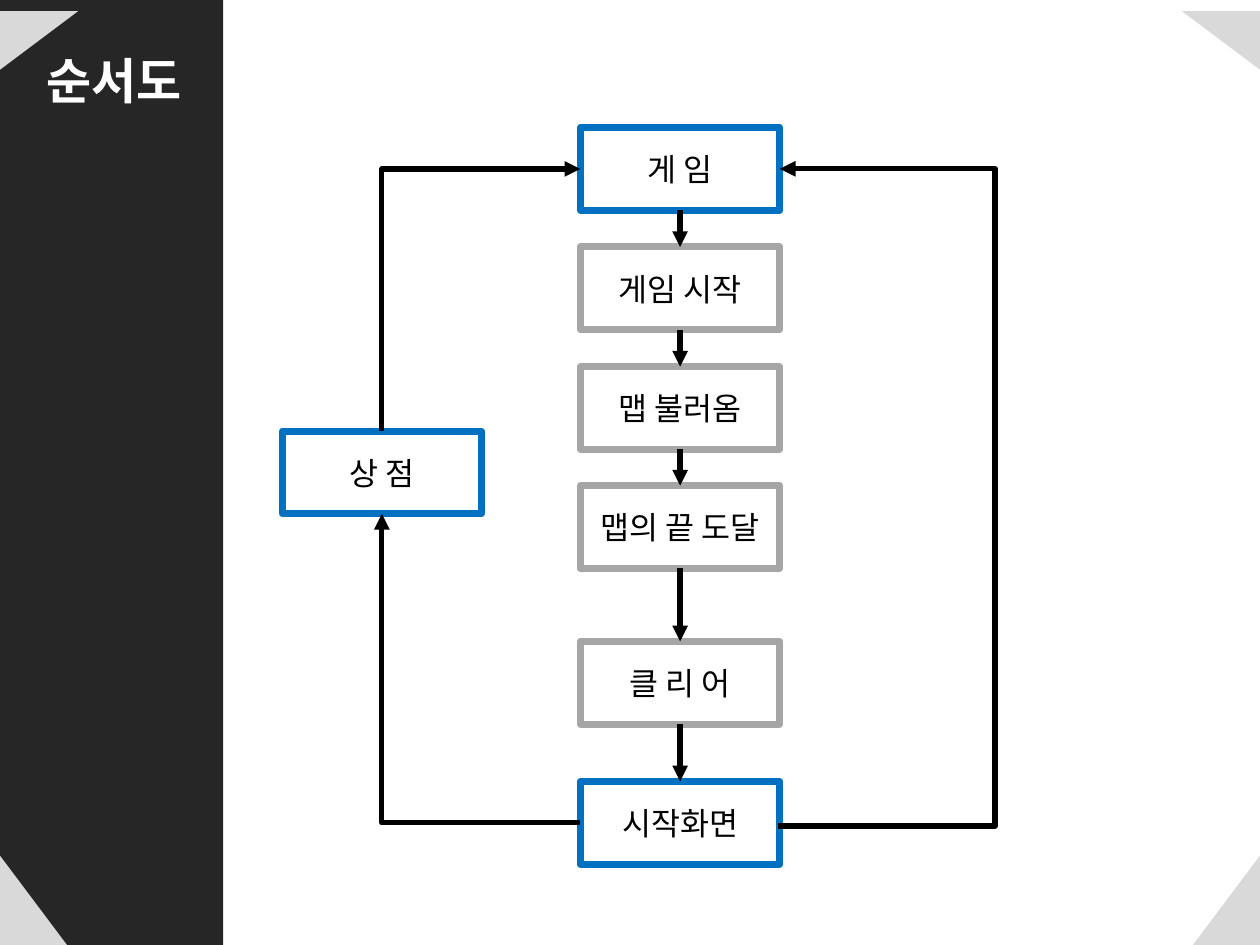
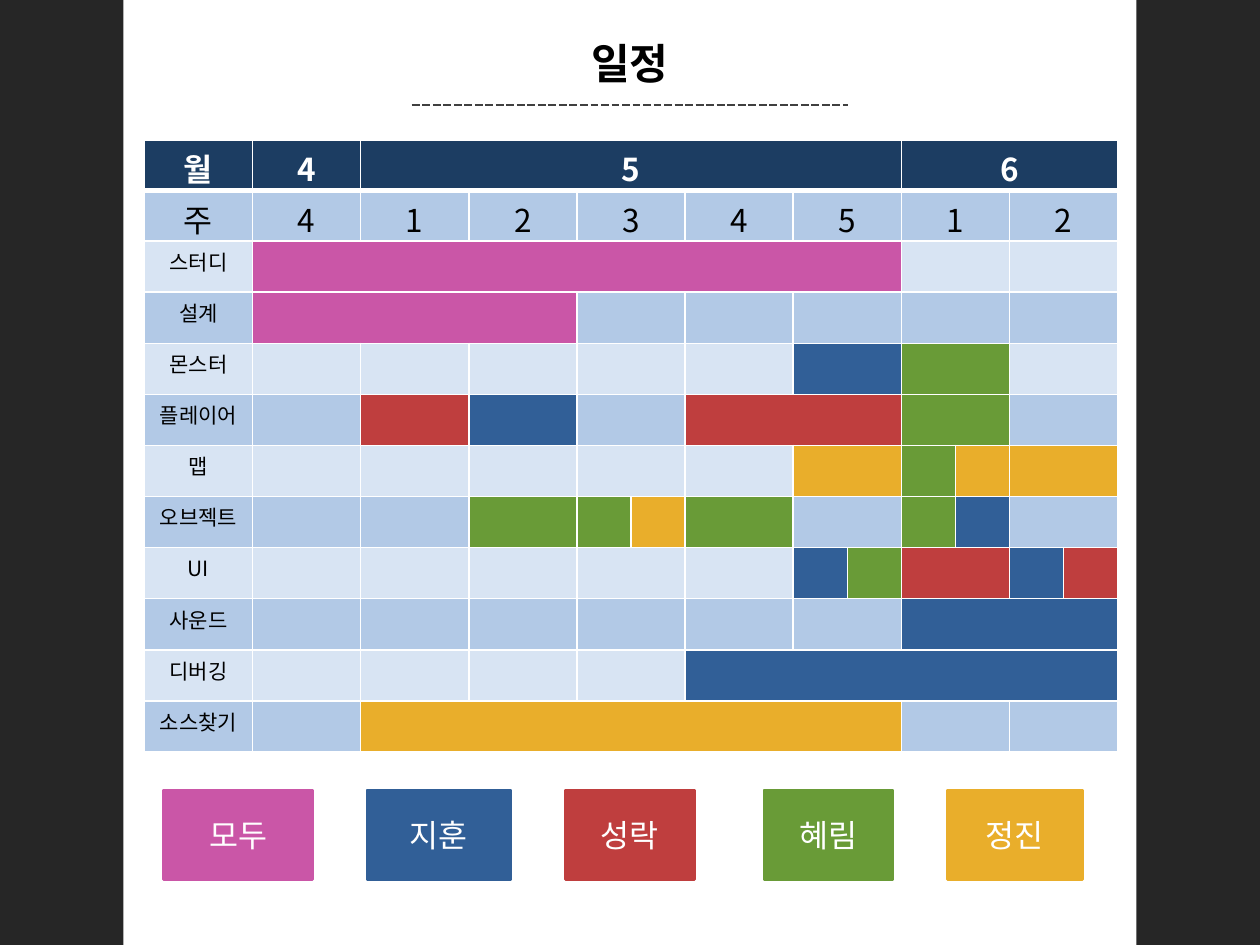
from dataclasses import dataclass

from lxml import etree
from pptx import Presentation
from pptx import util as u
from pptx.dml.color import RGBColor
from pptx.enum import dml, shapes, text
from pptx.oxml.ns import qn


@dataclass(frozen=True)
class Theme:
    font: str = "Noto Sans CJK KR"
    white: str = "FFFFFF"
    black: str = "000000"
    band: str = "262626"
    corner: str = "D9D9D9"
    rule: str = "404040"
    screen: str = "0070C0"
    step: str = "A6A6A6"
    header: str = "1C3D62"
    stripes: tuple = ("D8E4F3", "B2C9E6")
    heading: int = 28
    title: int = 24
    body: int = 18
    label: int = 12


THEME = Theme()
MEMBERS = {"모두": "CA56A7", "지훈": "315F97", "성락": "BF3E3E",
           "혜림": "699B37", "정진": "E9AE2B"}
WIDTH, HEIGHT = 25.4, 19.05


def write(frame, words, size=THEME.body, color=THEME.black, bold=False,
          align=text.PP_ALIGN.CENTER, anchor=text.MSO_ANCHOR.MIDDLE, wrap=True):
    frame.word_wrap = wrap
    frame.vertical_anchor = anchor
    paragraph = frame.paragraphs[0]
    paragraph.alignment = align
    run = paragraph.add_run()
    run.text = words
    run.font.size = u.Pt(size)
    run.font.bold = bold
    run.font.color.rgb = RGBColor.from_string(color)
    run.font.name = THEME.font
    etree.SubElement(run.font._element, qn("a:ea"), typeface=THEME.font)


class Deck:
    def __init__(self):
        self.theme = THEME
        self.deck = Presentation()
        self.deck.slide_width, self.deck.slide_height = u.Cm(WIDTH), u.Cm(HEIGHT)
        self.slide = None

    def new_slide(self):
        self.slide = self.deck.slides.add_slide(self.deck.slide_layouts[6])

    def shape(self, preset, left, top, width, height, fill=None, line=None, weight=1.5):
        shape = self.slide.shapes.add_shape(
            preset, u.Cm(left), u.Cm(top), u.Cm(width), u.Cm(height))
        shape.shadow.inherit = False
        if fill:
            shape.fill.solid()
            shape.fill.fore_color.rgb = RGBColor.from_string(fill)
        else:
            shape.fill.background()
        if line:
            shape.line.color.rgb = RGBColor.from_string(line)
            shape.line.width = u.Pt(weight)
        else:
            shape.line.fill.background()
        return shape

    def band(self, left, width):
        self.shape(shapes.MSO_SHAPE.RECTANGLE, left, 0, width, HEIGHT, fill=self.theme.band)

    def corner(self, right, top):
        width, height = 1.35, 1.8
        triangle = self.shape(shapes.MSO_SHAPE.RIGHT_TRIANGLE,
                              WIDTH - width if right else 0,
                              0 if top else HEIGHT - height,
                              width, height, fill=self.theme.corner)
        if right:
            triangle._element.spPr.find(qn("a:xfrm")).set("flipH", "1")
        if top:
            triangle.rotation = 270 if right else 90

    def heading(self, words, left, top, width, height, **style):
        box = self.slide.shapes.add_textbox(u.Cm(left), u.Cm(top), u.Cm(width), u.Cm(height))
        write(box.text_frame, words, bold=True, anchor=text.MSO_ANCHOR.TOP, **style)

    def process(self, words, left, top, width, height, line):
        box = self.shape(shapes.MSO_SHAPE.FLOWCHART_PROCESS, left, top, width, height,
                         line=line, weight=4)
        write(box.text_frame, words)

    def connector(self, start, end, color=THEME.black, weight=3, head=None,
                  preset="line", bend=None):
        kind = shapes.MSO_CONNECTOR.STRAIGHT if preset == "line" else shapes.MSO_CONNECTOR.ELBOW
        line = self.slide.shapes.add_connector(kind, *(u.Cm(v) for v in (*start, *end)))
        line.line.color.rgb = RGBColor.from_string(color)
        line.line.width = u.Pt(weight)
        properties = line._element.spPr
        geometry = properties.find(qn("a:prstGeom"))
        geometry.set("prst", preset)
        if bend is not None:
            guides = geometry.find(qn("a:avLst"))
            etree.SubElement(guides, qn("a:gd"), name="adj1", fmla=f"val {round(bend * 100000)}")
        if head:
            etree.SubElement(properties.find(qn("a:ln")), qn(f"a:{head}"), type="triangle")
        etree.SubElement(properties, qn("a:effectLst"))
        return line

    def table(self, left, top, columns, rows):
        table = self.slide.shapes.add_table(
            len(rows), len(columns), u.Cm(left), u.Cm(top),
            u.Cm(sum(columns)), u.Cm(sum(rows))).table
        table.first_row = table.horz_banding = False
        for column, width in zip(table.columns, columns):
            column.width = u.Cm(width)
        for row, height in zip(table.rows, rows):
            row.height = u.Cm(height)
        return table

    def cell(self, table, row, column, span, fill, words="", **style):
        for part in range(column, column + span):
            cell = table.cell(row, part)
            cell.margin_top, cell.margin_bottom = u.Cm(0.1), u.Cm(0)
            for side in "LRTB":
                heavy = (row, side) in ((0, "B"), (1, "T"))
                edge = etree.SubElement(cell._tc.get_or_add_tcPr(), qn(f"a:ln{side}"),
                                        w=str(u.Pt(3 if heavy else 1)))
                paint = etree.SubElement(edge, qn("a:solidFill"))
                etree.SubElement(paint, qn("a:srgbClr"), val=self.theme.white)
            cell.fill.solid()
            cell.fill.fore_color.rgb = RGBColor.from_string(fill)
            if not words or part > column:
                etree.SubElement(cell.text_frame.paragraphs[0]._p, qn("a:endParaRPr"),
                                 sz=str(self.theme.label * 100))
        first = table.cell(row, column)
        if span > 1:
            first.merge(table.cell(row, column + span - 1))
        if words:
            write(first.text_frame, words, anchor=text.MSO_ANCHOR.TOP, **style)

    def save(self):
        self.deck.save("out.pptx")


def flowchart(deck):
    theme = deck.theme
    deck.new_slide()
    deck.corner(right=True, top=False)
    deck.corner(right=True, top=True)
    deck.band(0, 4.5)
    deck.heading("순서도", 0.69, 0.89, 3.38, 1.42, size=theme.heading, color=theme.white,
                 align=text.PP_ALIGN.LEFT, wrap=False)
    deck.corner(right=False, top=True)
    deck.corner(right=False, top=False)

    left, width, height = 11.7, 4.02, 1.67
    center, right = left + width / 2, left + width
    stages = [("게 임", 2.57, theme.screen), ("게임 시작", 4.98, theme.step),
              ("맵 불러옴", 7.39, theme.step), ("맵의 끝 도달", 9.79, theme.step),
              ("클 리 어", 12.93, theme.step), ("시작화면", 15.75, theme.screen)]
    for words, top, line in stages:
        deck.process(words, left, top, width, height, line)
    tops = [top for _, top, _ in stages]
    for above, below in zip(tops, tops[1:]):
        deck.connector((center, above + height), (center, below), head="tailEnd")

    game, start_screen = tops[0] + height / 2, tops[-1] + height / 2
    shop_left, shop_top = 5.69, 8.69
    shop_center = shop_left + width / 2
    deck.process("상 점", shop_left, shop_top, width, height, theme.screen)
    deck.connector((left, start_screen), (shop_center, shop_top + height),
                   head="tailEnd", preset="bentConnector2")
    deck.connector((left, game), (shop_center, shop_top),
                   head="headEnd", preset="bentConnector2")
    loop_start, loop_right = right - 0.04, 20.06
    deck.connector((loop_start, start_screen + 0.07), (right, game), head="tailEnd",
                   preset="bentConnector3",
                   bend=(loop_right - loop_start) / (right - loop_start))


def schedule(deck):
    theme = deck.theme
    deck.new_slide()
    for left in (0, WIDTH - 2.49):
        deck.band(left, 2.49)
    rule = deck.connector((8.3, 2.12), (17.1, 2.12), color=theme.rule, weight=1.5)
    rule.line.dash_style = dml.MSO_LINE.SQUARE_DOT
    deck.heading("일정", 10, 0.64, 5.4, 1.24, size=theme.title)

    full, half = 2.18, 1.09
    weeks = [("4", 1, 1), ("1", 2, 1), ("2", 3, 1), ("3", 4, 2), ("4", 6, 1),
             ("5", 7, 2), ("1", 9, 2), ("2", 11, 2)]
    months = [("월", 0, 1), ("4", 1, 1), ("5", 2, 7), ("6", 9, 4)]
    tasks = [
        ("스터디", [("모두", 1, 8)]),
        ("설계", [("모두", 1, 3)]),
        ("몬스터", [("지훈", 7, 2), ("혜림", 9, 2)]),
        ("플레이어", [("성락", 2, 1), ("지훈", 3, 1), ("성락", 6, 3), ("혜림", 9, 2)]),
        ("맵", [("정진", 7, 2), ("혜림", 9, 1), ("정진", 10, 1), ("정진", 11, 2)]),
        ("오브젝트", [("혜림", 3, 1), ("혜림", 4, 1), ("정진", 5, 1), ("혜림", 6, 1),
                  ("혜림", 9, 1), ("지훈", 10, 1)]),
        ("UI", [("지훈", 7, 1), ("혜림", 8, 1), ("성락", 9, 2), ("지훈", 11, 1),
                ("성락", 12, 1)]),
        ("사운드", [("지훈", 9, 4)]),
        ("디버깅", [("지훈", 6, 7)]),
        ("소스찾기", [("정진", 2, 7)]),
    ]
    columns = [full] + [width / span for _, _, span in weeks
                        for width in [full] * span]
    assert columns[4] == half
    table = deck.table(2.91, 2.82, columns, [1.02] * 2 + [1.03] * len(tasks))
    for words, column, span in months:
        deck.cell(table, 0, column, span, theme.header, words, color=theme.white, bold=True)
    for words, column, span in [("주", 0, 1)] + weeks:
        deck.cell(table, 1, column, span, theme.stripes[1], words)
    for row, (task, bars) in enumerate(tasks, start=2):
        stripe = theme.stripes[row % 2]
        deck.cell(table, row, 0, 1, stripe, task, size=theme.label)
        busy = set()
        for member, column, span in bars:
            deck.cell(table, row, column, span, MEMBERS[member])
            busy.update(range(column, column + span))
        for _, column, span in weeks:
            if column not in busy:
                deck.cell(table, row, column, span, stripe)

    places = [(3.3, 3), (7.4, 2.9), (11.4, 2.6), (15.4, 2.6), (19.1, 2.72)]
    for (member, color), (left, width) in zip(MEMBERS.items(), places):
        key = deck.shape(shapes.MSO_SHAPE.RECTANGLE, left, 15.93, width, 1.8,
                         fill=color, line=color)
        write(key.text_frame, member, color=theme.white)


def main():
    deck = Deck()
    flowchart(deck)
    schedule(deck)
    deck.save()


if __name__ == "__main__":
    main()
